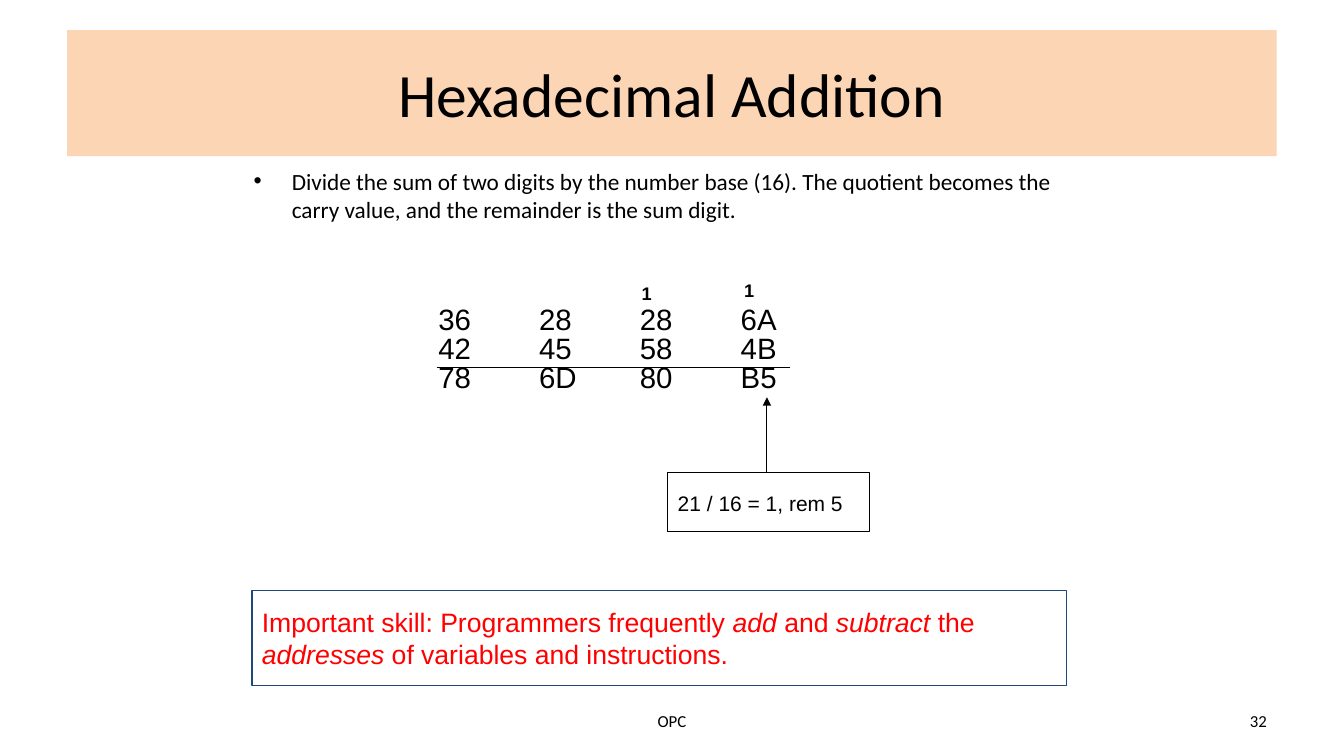
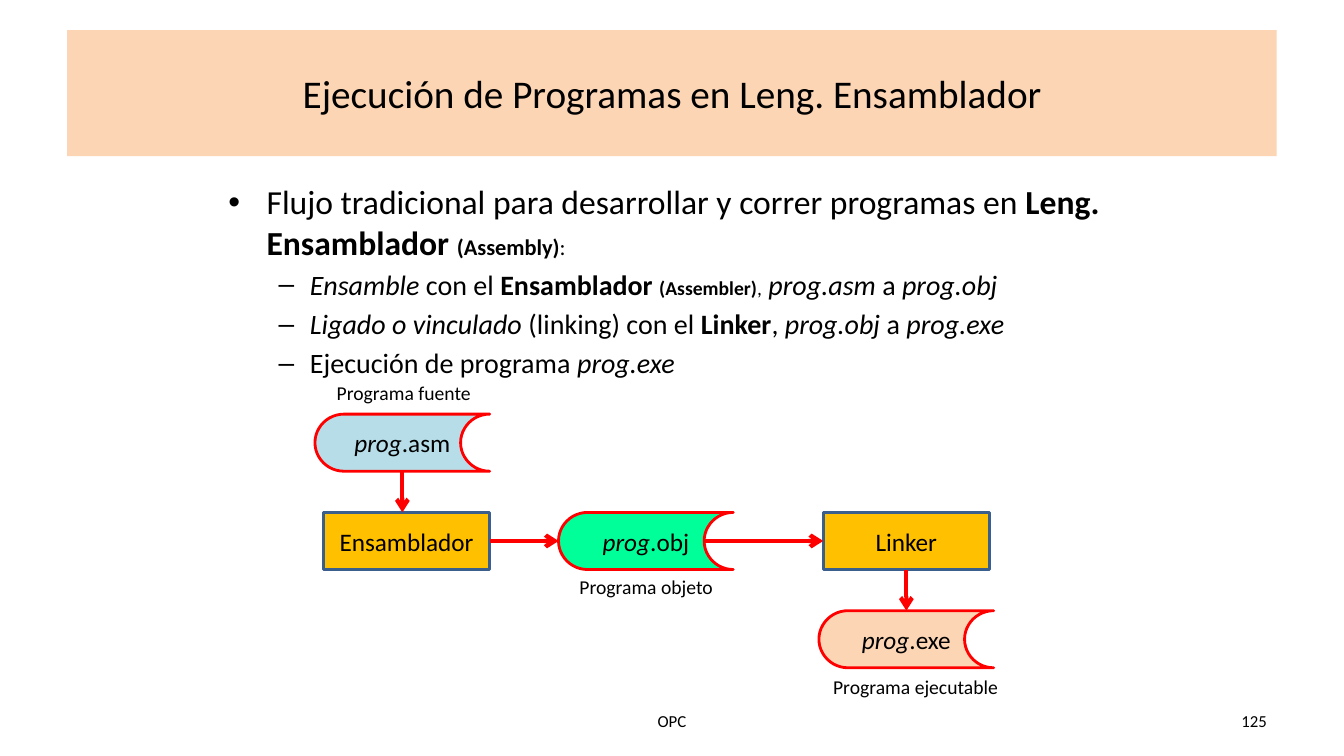
from dataclasses import dataclass
from typing import NamedTuple

from lxml import etree
from pptx import Presentation
from pptx import util as u
from pptx.dml import color
from pptx.enum import shapes, text
from pptx.oxml import ns

COLS, ROWS = 160, 90
WIDTH, HEIGHT = u.Inches(13.33), u.Inches(7.5)

BLACK, RED, NAVY, STEEL = "000000", "FF0000", "1F497D", "3A5F8C"
PEACH, SKY, MINT, AMBER = "FCD5B5", "B7DEE8", "00FF99", "FFC000"
BODY_FONT, FIGURE_FONT = "Calibri", "Arial"

LEFT, CENTER, RIGHT = text.PP_ALIGN.LEFT, text.PP_ALIGN.CENTER, text.PP_ALIGN.RIGHT
TOP, MIDDLE = text.MSO_ANCHOR.TOP, text.MSO_ANCHOR.MIDDLE
RECT = shapes.MSO_SHAPE.RECTANGLE
PROCESS = shapes.MSO_SHAPE.FLOWCHART_PROCESS
STORAGE = shapes.MSO_SHAPE.FLOWCHART_STORED_DATA


class Area(NamedTuple):
    col: float
    row: float
    cols: float
    rows: float


class Run(NamedTuple):
    words: str
    bold: bool = False
    italic: bool = False
    size: float | None = None


class Bullet(NamedTuple):
    mark: str
    indent: float
    hang: float


class Outline(NamedTuple):
    tone: str
    weight: float


@dataclass(frozen=True)
class Para:
    runs: tuple[Run, ...]
    size: float
    font: str = BODY_FONT
    tone: str = BLACK
    bold: bool = False
    align: text.PP_ALIGN = LEFT
    before: float = 0
    leading: float | None = None
    bullet: Bullet | None = None
    tabs: tuple[float, ...] = ()


@dataclass(frozen=True)
class Stage:
    center: float
    row: float
    runs: tuple[Run, ...]
    fill: str
    is_file: bool = True

    @property
    def area(self) -> Area:
        cols = 20.8 if self.is_file else 19.8
        return Area(self.center - cols / 2, self.row, cols, 6.8)

    @property
    def bottom(self) -> float:
        return self.row + self.area.rows

    @property
    def middle(self) -> float:
        return self.row + self.area.rows / 2

    @property
    def exit(self) -> float:
        return self.area.col + self.area.cols * (5 / 6 if self.is_file else 1)


def rgb(tone: str) -> color.RGBColor:
    return color.RGBColor.from_string(tone)


def x(col: float) -> int:
    return round(WIDTH * col / COLS)


def y(row: float) -> int:
    return round(HEIGHT * row / ROWS)


def plain(words: str, size: float, **style) -> Para:
    return Para((Run(words),), size, **style)


def write(frame, paras: list[Para], anchor=TOP, roomy: bool = False) -> None:
    frame.word_wrap = True
    frame.auto_size = text.MSO_AUTO_SIZE.NONE
    frame.vertical_anchor = anchor
    if roomy:
        frame.margin_top = frame.margin_bottom = u.Inches(0.15)
    for index, para in enumerate(paras):
        line = frame.add_paragraph() if index else frame.paragraphs[0]
        props = line._p.get_or_add_pPr()
        if para.bullet:
            props.set("marL", str(u.Inches(para.bullet.indent)))
            props.set("indent", str(-u.Inches(para.bullet.hang)))
            etree.SubElement(props, ns.qn("a:buFont")).set("typeface", "Arial")
            etree.SubElement(props, ns.qn("a:buChar")).set("char", para.bullet.mark)
        if para.tabs:
            stops = etree.SubElement(props, ns.qn("a:tabLst"))
            for col in para.tabs:
                etree.SubElement(stops, ns.qn("a:tab"), pos=str(x(col)), algn="l")
        line.alignment = para.align
        if index and para.before:
            line.space_before = u.Pt(para.before)
        if para.leading:
            line.line_spacing = para.leading
        line.font.name = para.font
        line.font.size = u.Pt(para.size)
        line.font.color.rgb = rgb(para.tone)
        line.font.bold = para.bold
        for part in para.runs:
            run = line.add_run()
            run.text = part.words
            if part.bold:
                run.font.bold = True
            if part.italic:
                run.font.italic = True
            if part.size:
                run.font.size = u.Pt(part.size)


def add_text(slide, area: Area, paras: list[Para], anchor=TOP, roomy: bool = False) -> None:
    box = slide.shapes.add_textbox(x(area.col), y(area.row), x(area.cols), y(area.rows))
    write(box.text_frame, paras, anchor, roomy)


def add_block(slide, kind, area: Area, paras: list[Para], fill: str | None = None,
              outline: Outline | None = None, anchor=MIDDLE, roomy: bool = False) -> None:
    block = slide.shapes.add_shape(kind, x(area.col), y(area.row), x(area.cols), y(area.rows))
    block.shadow.inherit = False
    if fill:
        block.fill.solid()
        block.fill.fore_color.rgb = rgb(fill)
    else:
        block.fill.background()
    if outline:
        block.line.color.rgb = rgb(outline.tone)
        block.line.width = u.Pt(outline.weight)
    else:
        block.line.fill.background()
    write(block.text_frame, paras, anchor, roomy)


def add_line(slide, start: tuple[float, float], end: tuple[float, float],
             outline: Outline, head: str | None = None) -> None:
    line = slide.shapes.add_connector(
        shapes.MSO_CONNECTOR.STRAIGHT, x(start[0]), y(start[1]), x(end[0]), y(end[1]))
    line.line.color.rgb = rgb(outline.tone)
    line.line.width = u.Pt(outline.weight)
    if head:
        etree.SubElement(line.line._get_or_add_ln(), ns.qn("a:tailEnd")).set("type", head)
    etree.SubElement(line._element.spPr, ns.qn("a:effectLst"))


def add_page(deck, title: str, title_size: float, number: int):
    slide = deck.slides.add_slide(deck.slide_layouts[6])
    add_block(slide, RECT, Area(8, 3.6, 144, 15),
              [plain(title, title_size, align=CENTER)], PEACH)
    add_text(slide, Area(54.7, 83.4, 50.6, 4.8), [plain("OPC", 12, align=CENTER)], MIDDLE)
    add_text(slide, Area(114.7, 83.4, 37.3, 4.8),
             [plain(str(number), 12, align=RIGHT)], MIDDLE)
    return slide


DOT = Bullet("•", 0.38, 0.38)
DASH = Bullet("–", 0.81, 0.31)


def hexadecimal_addition(deck) -> None:
    slide = add_page(deck, "Hexadecimal Addition", 44, 32)
    thin = Outline(BLACK, 0.75)
    add_text(slide, Area(29, 19.3, 102, 8), [plain(
        "Divide the sum of two digits by the number base (16). The quotient becomes "
        "the carry value, and the remainder is the sum digit.", 16.6, bullet=DOT)])

    sums = [("36", "28", "28", "6A"), ("42", "45", "58", "4B"), ("78", "6D", "80", "B5")]
    sum_tabs = tuple(12 * place for place in range(1, len(sums[0])))
    add_text(slide, Area(51, 36.2, 51, 13.3),
             [plain("\t".join(row), 21, font=FIGURE_FONT, before=10.5, leading=0.4,
                    tabs=sum_tabs) for row in sums], roomy=True)
    add_line(slide, (52, 43.7), (94, 43.7), thin)
    for col, row in ((87.4, 31.5), (75.2, 31.8)):
        add_text(slide, Area(col, row, 3.8, 6.2),
                 [plain("1", 13, font=FIGURE_FONT, bold=True)], roomy=True)

    division = Area(79.5, 56.3, 24, 7)
    add_line(slide, (91.3, division.row), (91.3, 47.3), thin, "triangle")
    add_block(slide, RECT, division,
              [plain("21 / 16 = 1, rem 5", 15, font=FIGURE_FONT, leading=1.1)],
              outline=thin, anchor=TOP, roomy=True)

    skill = (Run("Important skill: Programmers frequently "), Run("add", italic=True),
             Run(" and "), Run("subtract", italic=True), Run(" the "),
             Run("addresses", italic=True), Run(" of variables and instructions."))
    add_block(slide, RECT, Area(30, 70.3, 97, 11.3),
              [Para(skill, 19, FIGURE_FONT, RED)],
              outline=Outline(NAVY, 0.75), anchor=TOP, roomy=True)


def program_execution(deck) -> None:
    slide = add_page(deck, "Ejecución de Programas en Leng. Ensamblador", 28, 125)
    steps = [
        (Run("Ensamble", italic=True), Run(" con el "), Run("Ensamblador ", bold=True),
         Run("(Assembler)", bold=True, size=14), Run(",", size=14), Run(" "),
         Run("prog.asm", italic=True), Run(" a "), Run("prog.obj", italic=True)),
        (Run("Ligado o vinculado", italic=True), Run(" (linking) con el "),
         Run("Linker", bold=True), Run(", "), Run("prog.obj", italic=True),
         Run(" a "), Run("prog.exe", italic=True)),
        (Run("Ejecución de programa "), Run("prog.exe", italic=True)),
    ]
    flow = (Run("Flujo tradicional para desarrollar y correr programas en "),
            Run("Leng. Ensamblador ", bold=True),
            Run("(Assembly)", bold=True, size=16), Run(":", size=16))
    add_text(slide, Area(26, 21, 108, 23.3),
             [Para(flow, 24, bullet=DOT)]
             + [Para(step, 20, before=4, bullet=DASH) for step in steps])

    top, pitch = 49.3, 11.7
    upper, main_row, lower = (top + pitch * level for level in range(3))
    prog = Run("prog", italic=True)
    source = Stage(47.9, upper, (prog, Run(".asm")), SKY)
    assembler = Stage(48.4, main_row, (Run("Ensamblador"),), AMBER, False)
    compiled = Stage(76.9, main_row, (prog, Run(".obj")), MINT)
    linker = Stage(107.9, main_row, (Run("Linker"),), AMBER, False)
    executable = Stage(107.9, lower, (prog, Run(".exe")), PEACH)

    for stage in (source, assembler, compiled, linker, executable):
        add_block(slide, STORAGE if stage.is_file else PROCESS, stage.area,
                  [Para(stage.runs, 18, align=CENTER)], stage.fill,
                  Outline(RED if stage.is_file else STEEL, 2))

    arrow = Outline(RED, 3)
    for above, below in ((source, assembler), (linker, executable)):
        add_line(slide, (above.center, above.bottom), (above.center, below.row),
                 arrow, "arrow")
    for before, after in ((assembler, compiled), (compiled, linker)):
        add_line(slide, (before.exit, before.middle), (after.area.col, after.middle),
                 arrow, "arrow")

    for caption, col, row in (("Programa fuente", 38.9, 44.8),
                              ("Programa objeto", 67.8, compiled.bottom),
                              ("Programa ejecutable", 98, executable.bottom + 0.2)):
        add_text(slide, Area(col, row, 23, 4), [plain(caption, 14)])


def main() -> None:
    deck = Presentation()
    deck.slide_width, deck.slide_height = WIDTH, HEIGHT
    hexadecimal_addition(deck)
    program_execution(deck)
    deck.save("out.pptx")


if __name__ == "__main__":
    main()
